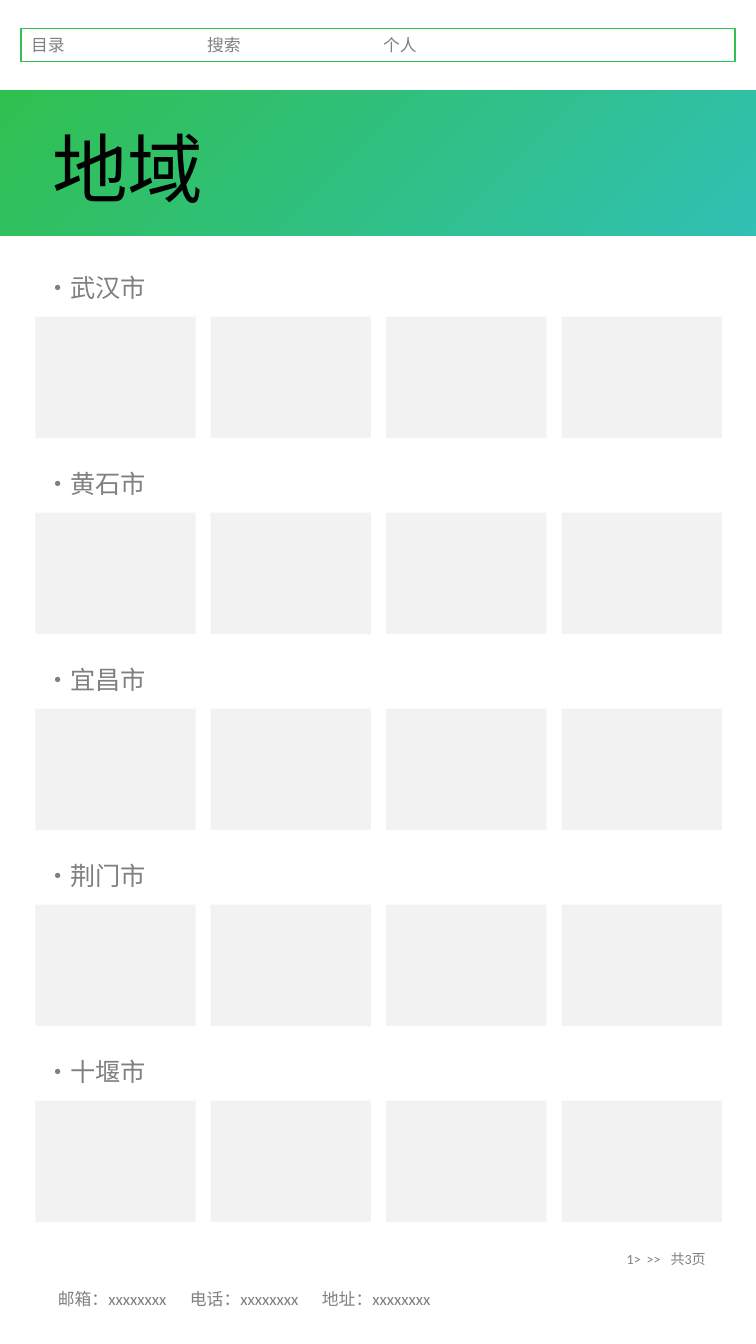
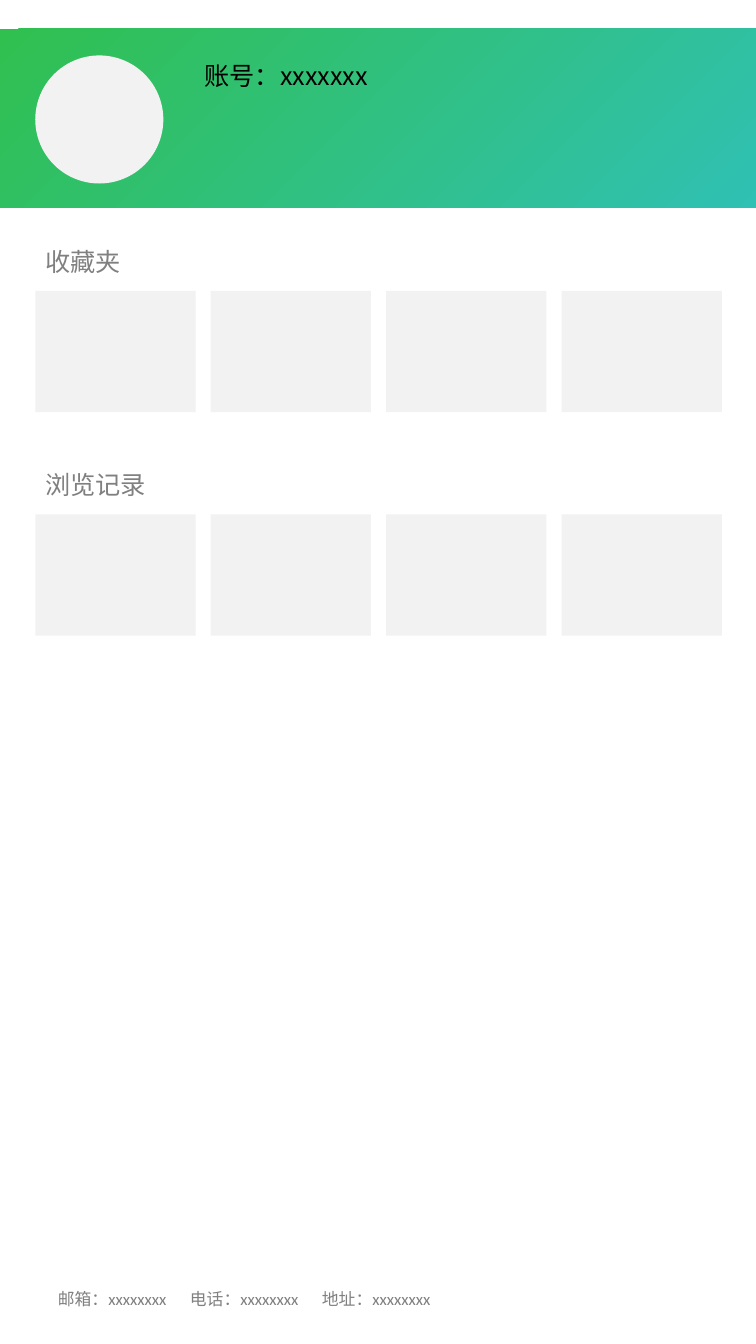
"""Build the region page and the personal page of a mobile site."""
from dataclasses import dataclass
from typing import Any

import lxml.etree
import pptx
import pptx.dml.color
import pptx.enum.lang
import pptx.enum.shapes
import pptx.enum.text
import pptx.oxml.ns
import pptx.util

Pt = pptx.util.Pt
SHAPE = pptx.enum.shapes.MSO_SHAPE

GREEN, TEAL = "30C04F", "30C0B4"
PALE, GREY, BLACK = "F2F2F2", "808080", "000000"
SC, JP, LATIN = "Noto Sans CJK SC", "Noto Sans CJK JP", "Calibri"

PAGE_W, PAGE_H = 540, 960
MARGIN = 25.2
TILE_W, TILE_H, TILE_STEP, TILE_COUNT = 114.5, 86.6, 125.3, 4
TILE_DROP = 35.5


@dataclass(frozen=True)
class Box:
    left: float
    top: float
    width: float
    height: float

    def emu(self) -> list[int]:
        return [Pt(v) for v in (self.left, self.top, self.width, self.height)]


@dataclass(frozen=True)
class Label:
    text: str
    box: Box
    size: float
    font: str = SC
    color: str = GREY
    tabs: tuple[float, ...] = ()


@dataclass(frozen=True)
class Section:
    title: str
    top: float


NAV = Label("目录\t搜索\t个人", Box(15.1, 20.2, 509.8, 23.8), 12, tabs=(125.7, 251.4))
TITLE = Label("地域", Box(30.2, 83.5, 180, 72.7), 54, JP, BLACK)
ACCOUNT = Label("账号：xxxxxxx", Box(139, 39.6, 340, 29), 18, JP, BLACK)
PAGER = Label("1>\t>>\t共3页", Box(440.6, 889.9, 76, 19.4), 10, LATIN, tabs=(14.3, 31.4))
FOOTER = Label("邮箱：xxxxxxxx\t电话：xxxxxxxx\t地址：xxxxxxxx",
               Box(34.3, 917.3, 472, 21.8), 12, LATIN, tabs=(94.3, 188.6))

CITIES = [Section("·" + name, 190.7 + 140 * i)
          for i, name in enumerate(("武汉市", "黄石市", "宜昌市", "荆门市", "十堰市"))]
PERSONAL = [Section("收藏夹", 172.3), Section("浏览记录", 331.9)]


def rgb(value: str) -> pptx.dml.color.RGBColor:
    return pptx.dml.color.RGBColor.from_string(value)


def set_all(target: Any, values: dict[str, Any]) -> None:
    for name, value in values.items():
        setattr(target, name, value)


def add_shape(shapes: Any, kind: Any, box: Box, fill: str | None = None) -> Any:
    sp = shapes.add_shape(kind, *box.emu())
    sp.shadow.inherit = False
    sp.line.fill.background()
    if fill:
        sp.fill.solid()
        sp.fill.fore_color.rgb = rgb(fill)
    else:
        sp.fill.background()
    return sp


def write(sp: Any, label: Label) -> None:
    tf = sp.text_frame
    tf.word_wrap = True
    p = tf.paragraphs[0]
    p.alignment = pptx.enum.text.PP_ALIGN.LEFT
    r = p.add_run()
    r.text = label.text
    set_all(r.font, {
        "size": Pt(label.size),
        "name": label.font,
        "language_id": pptx.enum.lang.MSO_LANGUAGE_ID.SIMPLIFIED_CHINESE,
    })
    r.font.color.rgb = rgb(label.color)
    qn = pptx.oxml.ns.qn
    east_asian = SC if label.font == LATIN else label.font
    lxml.etree.SubElement(r.font._element, qn("a:ea"), typeface=east_asian)
    if label.tabs:
        tab_list = lxml.etree.SubElement(p._p.get_or_add_pPr(), qn("a:tabLst"))
        for pos in label.tabs:
            lxml.etree.SubElement(tab_list, qn("a:tab"), pos=str(Pt(pos)), algn="l")


def add_label(shapes: Any, label: Label) -> None:
    sp = shapes.add_textbox(*label.box.emu())
    write(sp, label)
    sp.text_frame.auto_size = pptx.enum.text.MSO_AUTO_SIZE.SHAPE_TO_FIT_TEXT


def add_band(shapes: Any, top: float, height: float) -> None:
    sp = add_shape(shapes, SHAPE.RECTANGLE, Box(0, top, PAGE_W, height))
    sp.fill.gradient()
    sp.fill.gradient_angle = 315
    for stop, color in zip(sp.fill.gradient_stops, (GREEN, TEAL)):
        stop.color.rgb = rgb(color)


def add_nav(shapes: Any) -> None:
    sp = add_shape(shapes, SHAPE.RECTANGLE, NAV.box)
    sp.line.color.rgb = rgb(GREEN)
    sp.line.width = Pt(1)
    write(sp, NAV)
    sp.text_frame.vertical_anchor = pptx.enum.text.MSO_ANCHOR.MIDDLE


def add_section(shapes: Any, section: Section) -> None:
    group = shapes.add_group_shape().shapes
    for i in range(TILE_COUNT):
        box = Box(MARGIN + i * TILE_STEP, section.top + TILE_DROP, TILE_W, TILE_H)
        add_shape(group, SHAPE.RECTANGLE, box, PALE)
    add_label(group, Label(section.title, Box(MARGIN, section.top, 180, 29), 18))


def add_page(prs: Any, band: tuple[float, float], sections: list[Section],
             labels: list[Label]) -> Any:
    s = prs.slides.add_slide(prs.slide_layouts[6])
    add_band(s.shapes, *band)
    for section in sections:
        add_section(s.shapes, section)
    for label in [*labels, FOOTER]:
        add_label(s.shapes, label)
    return s


def main() -> None:
    prs = pptx.Presentation()
    set_all(prs, {"slide_width": Pt(PAGE_W), "slide_height": Pt(PAGE_H)})
    region = add_page(prs, (64.4, 104), CITIES, [TITLE, PAGER])
    add_nav(region.shapes)
    personal = add_page(prs, (20.5, 128), PERSONAL, [ACCOUNT])
    add_shape(personal.shapes, SHAPE.OVAL, Box(MARGIN, 39.6, 91.5, 91.5), PALE)
    prs.save("out.pptx")


if __name__ == "__main__":
    main()
